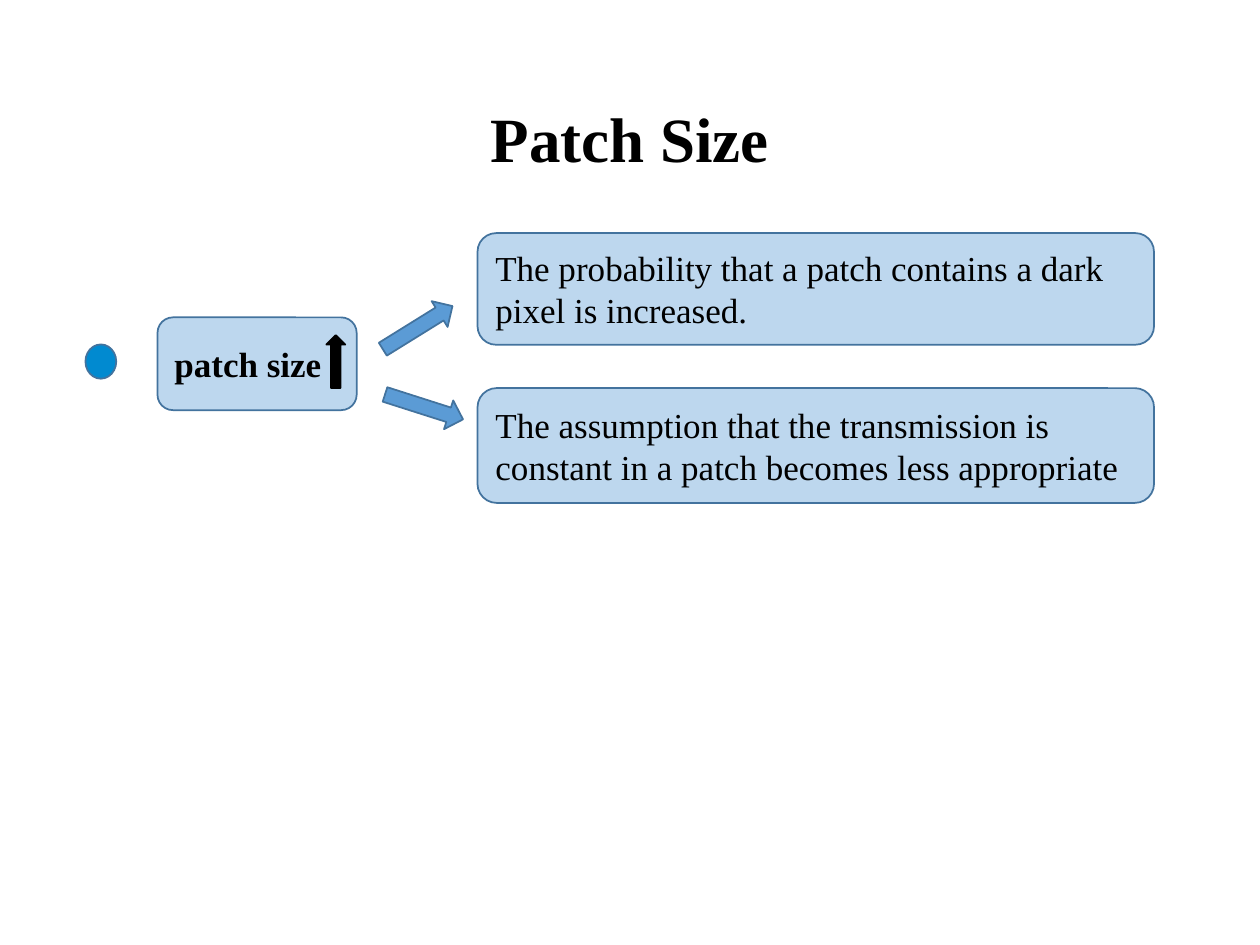
from pptx import Presentation
from pptx.dml.color import RGBColor
from pptx.enum.shapes import MSO_SHAPE
from pptx.enum.text import MSO_ANCHOR, PP_ALIGN
from pptx.util import Pt

COLORS = {
    "text": "000000",
    "outline": "43739E",
    "box": "BDD7EE",
    "arrow": "5B9BD5",
    "bullet": "018AD0",
}


def add_text(shape, text, size, bold, alignment):
    frame = shape.text_frame
    frame.word_wrap = True
    frame.vertical_anchor = MSO_ANCHOR.MIDDLE
    paragraph = frame.paragraphs[0]
    paragraph.alignment = alignment
    run = paragraph.add_run()
    run.text = text
    run.font.name = "Times New Roman"
    run.font.size = Pt(size)
    run.font.bold = bold
    run.font.color.rgb = RGBColor.from_string(COLORS["text"])
    return paragraph


def add_figure(kind, left, top, width, height, fill, outline="outline"):
    shape = slide.shapes.add_shape(kind, Pt(left), Pt(top), Pt(width), Pt(height))
    shape.shadow.inherit = False
    shape.fill.solid()
    shape.fill.fore_color.rgb = RGBColor.from_string(COLORS[fill])
    shape.line.color.rgb = RGBColor.from_string(COLORS[outline])
    shape.line.width = Pt(1)
    return shape


presentation = Presentation()
presentation.slide_width = Pt(720)
presentation.slide_height = Pt(540)
slide = presentation.slides.add_slide(presentation.slide_layouts[5])

title = slide.shapes.title
title.left, title.top, title.width, title.height = Pt(49.5), Pt(28.8), Pt(621), Pt(104.4)
title_paragraph = add_text(title, "Patch Size", 36, True, PP_ALIGN.CENTER)
title_paragraph.line_spacing = 0.9

add_figure(MSO_SHAPE.FLOWCHART_CONNECTOR, 48.8, 196.8, 17.6, 19.6, "bullet")

boxes = [
    ("patch size", 90, 181.4, 113.8, 53, True),
    ("The probability that a patch contains a dark pixel is increased.",
     272.9, 133.2, 386.6, 63.8, False),
    ("The assumption that the transmission is constant in a patch becomes less appropriate",
     272.9, 221.8, 386.6, 65.6, False),
]
for text, left, top, width, height, bold in boxes:
    box = add_figure(MSO_SHAPE.ROUNDED_RECTANGLE, left, top, width, height, "box")
    add_text(box, text, 20, bold, PP_ALIGN.LEFT)

add_figure(MSO_SHAPE.UP_ARROW, 186.5, 191.5, 10.8, 30.2, "text", "text")

for left, top, rotation in [(215.3, 178.6, 328.2), (218.9, 223.9, 17.7)]:
    arrow = add_figure(MSO_SHAPE.RIGHT_ARROW, left, top, 46.8, 17.3, "arrow")
    arrow.rotation = rotation

presentation.save("out.pptx")
